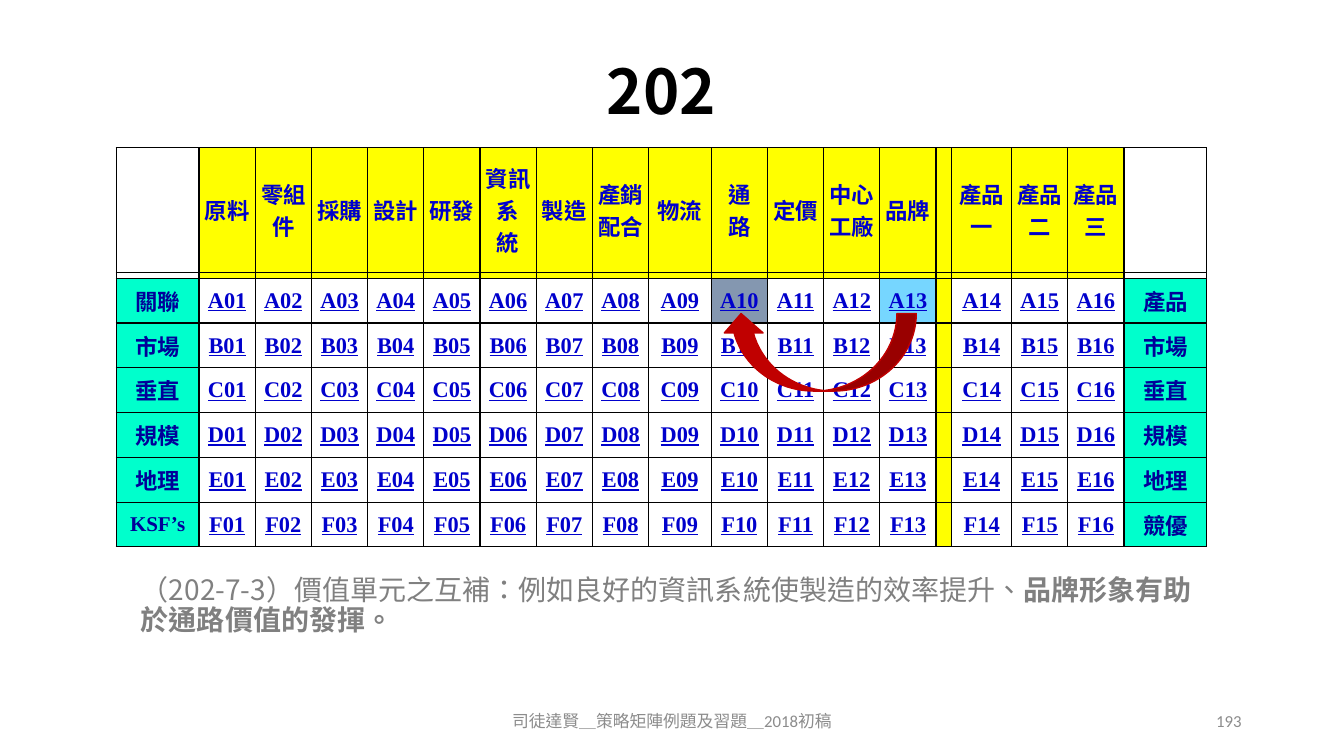
from dataclasses import dataclass

from lxml.etree import SubElement
from pptx import Presentation
from pptx.dml.color import RGBColor
from pptx.enum.shapes import MSO_SHAPE as Preset
from pptx.enum.text import MSO_ANCHOR as Anchor, MSO_AUTO_SIZE as AutoSize, PP_ALIGN as Align
from pptx.oxml.ns import qn
from pptx.util import Pt


@dataclass(frozen=True)
class Theme:
    cjk: str = "Noto Sans CJK SC"
    sans: str = "Calibri"
    serif: str = "Times New Roman"
    black: str = "000000"
    link: str = "0000CC"
    label: str = "000099"
    caption: str = "808080"
    footer: str = "8C8C8C"
    yellow: str = "FFFF00"
    mint: str = "00FFCC"
    target: str = "8497B0"
    origin: str = "76D6FF"
    arrow: str = "C00000"
    title_size: int = 44
    caption_size: int = 20
    cell_size: int = 16
    ksf_size: int = 15
    footer_size: int = 12


THEME = Theme()

ACTIVITIES = ["原料", "零組件", "採購", "設計", "研發", "資訊系\v統", "製造", "產銷配合",
              "物流", "通\v路", "定價", "中心工廠", "品牌"]
PRODUCTS = ["產品一", "產品二", "產品三"]
ROW_LABELS = [("關聯", "產品"), ("市場", "市場"), ("垂直", "垂直"),
              ("規模", "規模"), ("地理", "地理"), ("KSF’s", "競優")]
HIGHLIGHTS = {"A10": THEME.target, "A13": THEME.origin}

LABEL_WIDTH, UNIT_WIDTH, GAP_WIDTH = 59.2, 40.15, 11.2
WIDER_UNITS = {"物流": 44.8, "產品一": 42.8}
HEADER_HEIGHT, STRIPE_HEIGHT, UNIT_HEIGHT = 88.9, 4.4, 32


def style(paragraph, font, size, color, bold=False, underline=False):
    for run in paragraph.runs:
        run.font.name, run.font.size = font, Pt(size)
        run.font.bold, run.font.underline = bold, underline
        run.font.color.rgb = RGBColor.from_string(color)
        properties = run.font._element
        properties.set("lang", "zh-TW")
        east_asian = SubElement(properties, qn("a:ea"))
        east_asian.set("typeface", THEME.cjk)


def add_line_of_text(slide, box, text, align, font, size, color, bold=False):
    """Place one paragraph in a middle-anchored text box and return its frame."""
    frame = slide.shapes.add_textbox(*map(Pt, box)).text_frame
    frame.word_wrap = True
    frame.vertical_anchor = Anchor.MIDDLE
    frame.text = text
    frame.paragraphs[0].alignment = align
    style(frame.paragraphs[0], font, size, color, bold)
    return frame


def add_title(slide, box):
    frame = add_line_of_text(slide, box, "202", Align.CENTER, THEME.cjk,
                             THEME.title_size, THEME.black, bold=True)
    frame.paragraphs[0].line_spacing = 0.9


def add_caption(slide, box):
    frame = add_line_of_text(
        slide, box, "（202-7-3）價值單元之互補：例如良好的資訊系統使製造的效率提升、",
        Align.LEFT, THEME.cjk, THEME.caption_size, THEME.caption)
    frame.vertical_anchor = Anchor.TOP
    frame.auto_size = AutoSize.SHAPE_TO_FIT_TEXT
    sentence = frame.paragraphs[0]
    sentence.line_spacing, sentence.space_before = 0.9, Pt(10)
    emphasis = sentence.add_run()
    emphasis.text = "品牌形象有助於通路價值的發揮。"
    style(sentence, THEME.cjk, THEME.caption_size, THEME.caption)
    emphasis.font.bold = True


def add_footer(slide, box):
    left, top, width, height = box
    number_width = 216
    add_line_of_text(slide, (left, top, width - number_width - 36, height),
                     "司徒達賢＿策略矩陣例題及習題＿2018初稿", Align.CENTER,
                     THEME.sans, THEME.footer_size, THEME.footer)
    add_line_of_text(slide, (left + width - number_width, top, number_width, height),
                     "193", Align.RIGHT, THEME.sans, THEME.footer_size, THEME.footer)


def border(cell):
    properties = cell._tc.get_or_add_tcPr()
    for position, side in enumerate(("lnL", "lnR", "lnT", "lnB")):
        edge = properties.makeelement(qn(f"a:{side}"), {"w": str(Pt(1))})
        fill = SubElement(edge, qn("a:solidFill"))
        SubElement(fill, qn("a:srgbClr")).set("val", THEME.black)
        properties.insert(position, edge)


def fill_cell(cell, text="", fill=None, font=THEME.sans, size=THEME.cell_size,
              color=THEME.link, underline=False):
    cell.margin_left = cell.margin_right = Pt(3.6)
    cell.margin_top = cell.margin_bottom = 0
    cell.vertical_anchor = Anchor.MIDDLE
    if fill:
        cell.fill.solid()
        cell.fill.fore_color.rgb = RGBColor.from_string(fill)
    else:
        cell.fill.background()
    border(cell)
    cell.text_frame.text = text
    paragraph = cell.text_frame.paragraphs[0]
    if text:
        paragraph.alignment = Align.CENTER
        style(paragraph, font, size, color, bold=True, underline=underline)
    else:
        # A tiny end mark lets the thin stripe keep its height
        SubElement(paragraph._p, qn("a:endParaRPr")).set("sz", "100")


def add_matrix(slide, left, top):
    """Draw the strategy matrix: value activities and products against row labels."""
    headings = ["", *ACTIVITIES, "", *PRODUCTS, ""]
    last, gap = len(headings) - 1, len(ACTIVITIES) + 1
    widths = [WIDER_UNITS.get(heading, UNIT_WIDTH) for heading in headings]
    widths[0] = widths[last] = LABEL_WIDTH
    widths[gap] = GAP_WIDTH
    heights = [HEADER_HEIGHT, STRIPE_HEIGHT] + [UNIT_HEIGHT] * len(ROW_LABELS)
    matrix = slide.shapes.add_table(len(heights), len(widths), Pt(left), Pt(top),
                                    Pt(sum(widths)), Pt(sum(heights))).table
    matrix.first_row = matrix.horz_banding = False
    for column, width in zip(matrix.columns, widths):
        column.width = Pt(width)
    for row, height in zip(matrix.rows, heights):
        row.height = Pt(height)

    for c, heading in enumerate(headings):
        fill = None if c in (0, last) else THEME.yellow
        fill_cell(matrix.cell(0, c), heading, fill)
        fill_cell(matrix.cell(1, c), fill=fill)

    for r, (letter, labels) in enumerate(zip("ABCDEF", ROW_LABELS), start=2):
        for c, label in zip((0, last), labels):
            latin = label.startswith("KSF")
            fill_cell(matrix.cell(r, c), label, THEME.mint,
                      THEME.serif if latin else THEME.sans,
                      THEME.ksf_size if latin else THEME.cell_size, THEME.label)
        fill_cell(matrix.cell(r, gap), fill=THEME.yellow)
        units = [c for c in range(1, last) if c != gap]
        for number, c in enumerate(units, start=1):
            code = f"{letter}{number:02}"
            fill_cell(matrix.cell(r, c), code, HIGHLIGHTS.get(code), THEME.serif,
                      underline=True)


def add_brand_to_channel_arrow(slide, box):
    arrow = slide.shapes.add_shape(Preset.CURVED_LEFT_ARROW, *map(Pt, box))
    arrow.rotation = 90
    arrow.shadow.inherit = False
    arrow.fill.solid()
    arrow.fill.fore_color.rgb = RGBColor.from_string(THEME.arrow)
    arrow.line.color.rgb = RGBColor.from_string(THEME.arrow)
    arrow.line.width = Pt(1)


def main():
    deck = Presentation()
    deck.slide_width, deck.slide_height = Pt(960), Pt(540)
    slide = deck.slides.add_slide(deck.slide_layouts[6])
    add_title(slide, (66, 28.8, 813, 77))
    add_matrix(slide, 83, 105.5)
    add_caption(slide, (93.6, 408.2, 768.2, 51.1))
    add_brand_to_channel_arrow(slide, (557.3, 182.2, 55.4, 139))
    add_footer(slide, (318, 500.4, 576, 28.8))
    deck.save("out.pptx")


if __name__ == "__main__":
    main()
